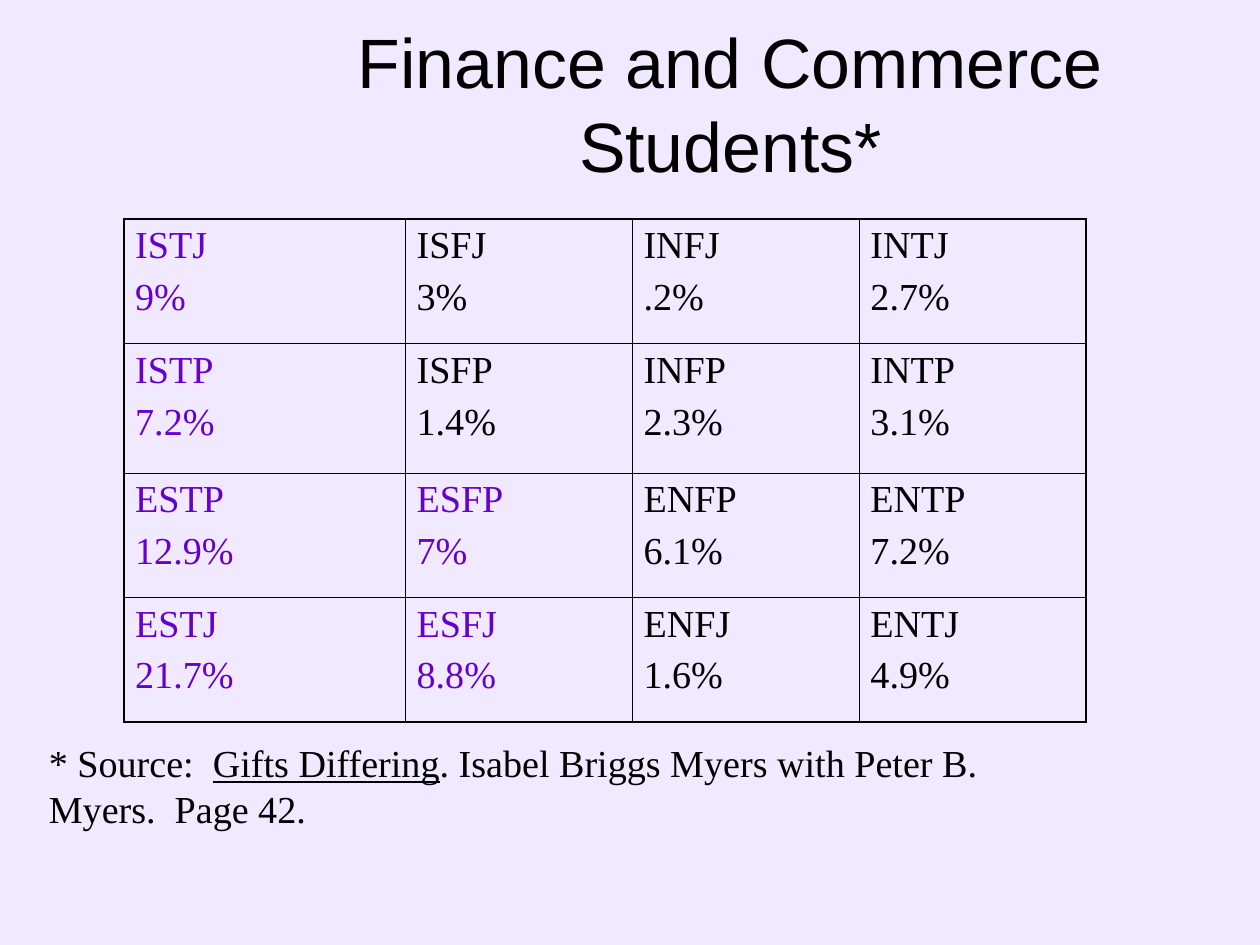
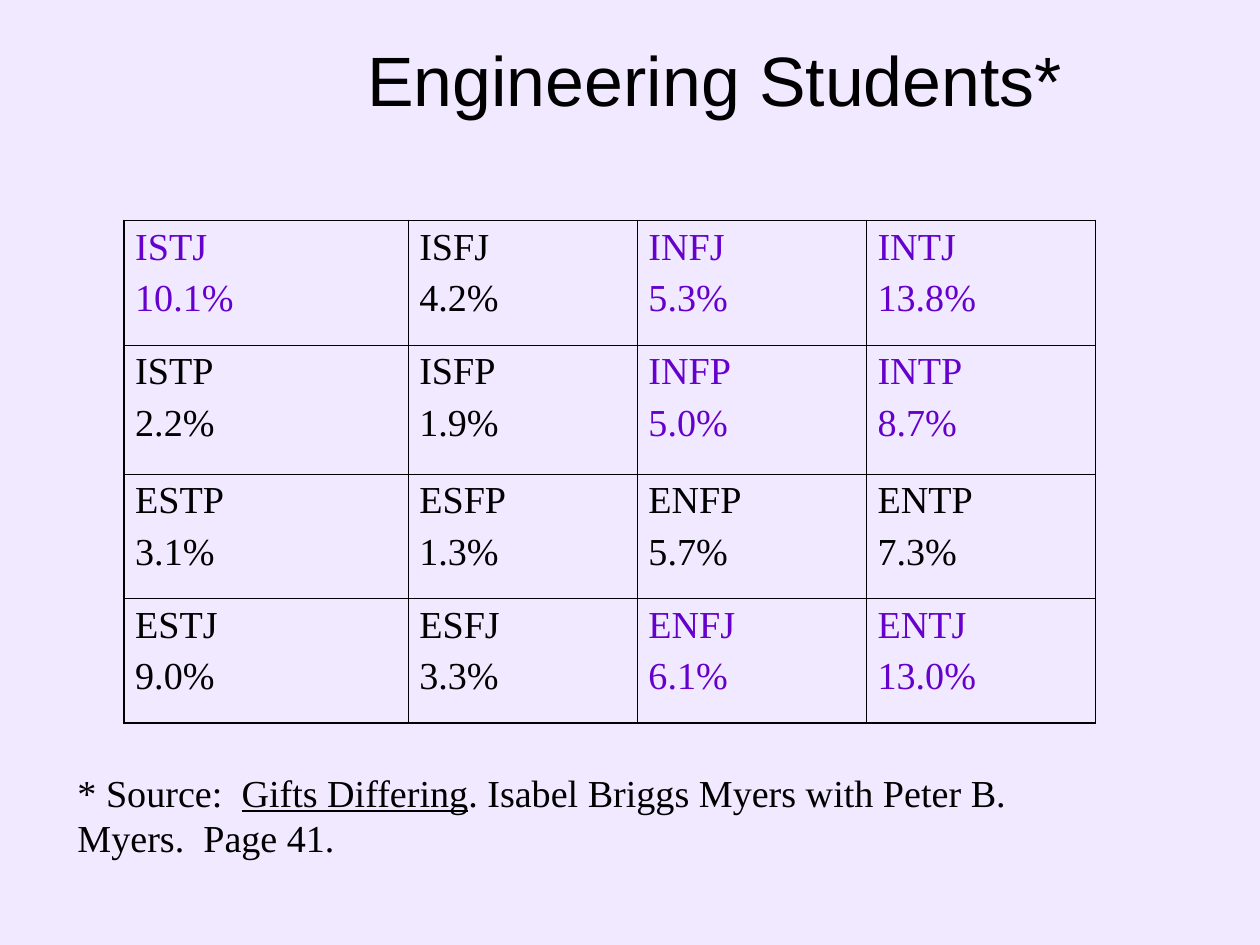
"""Build two slides that compare personality types among groups of students."""
from dataclasses import dataclass

from lxml.etree import SubElement
from pptx import Presentation
from pptx.dml.color import RGBColor
from pptx.enum.text import MSO_ANCHOR, MSO_AUTO_SIZE, PP_ALIGN
from pptx.oxml.ns import qn
from pptx.util import Cm, Emu, Inches, Pt

BLACK = RGBColor(0x00, 0x00, 0x00)
PURPLE = RGBColor(0x66, 0x00, 0xCC)
LILAC = RGBColor(0xF0, 0xE9, 0xFF)
SANS, SERIF = "Arial", "Times New Roman"
WIDTH, HEIGHT = Cm(28), Cm(21)
OUTER, INNER = Pt(1.08), Pt(0.45)
HANG = Inches(0.12)
TITLE_ONLY = 5

TYPES = (
    ("ISTJ", "ISFJ", "INFJ", "INTJ"),
    ("ISTP", "ISFP", "INFP", "INTP"),
    ("ESTP", "ESFP", "ENFP", "ENTP"),
    ("ESTJ", "ESFJ", "ENFJ", "ENTJ"),
)
COL_WEIGHTS = (2.48, 2, 2, 2)
ROW_WEIGHTS = (1.09, 1.13, 1.09, 1.09)


@dataclass(frozen=True)
class Box:
    """A frame in percent of the slide's width and height."""
    left: float
    top: float
    width: float
    height: float

    def frame(self) -> tuple[Emu, Emu, Emu, Emu]:
        """Return left, top, width and height as lengths."""
        return (Emu(round(WIDTH * self.left / 100)), Emu(round(HEIGHT * self.top / 100)),
                Emu(round(WIDTH * self.width / 100)), Emu(round(HEIGHT * self.height / 100)))


@dataclass(frozen=True)
class Group:
    """The content and frames of one slide."""
    title: str
    shares: tuple[tuple[str, ...], ...]
    marked: frozenset[str]
    page: int
    title_box: Box
    table_box: Box
    note_box: Box


GROUPS = (
    Group("Finance and Commerce Students*",
          (("9%", "3%", ".2%", "2.7%"), ("7.2%", "1.4%", "2.3%", "3.1%"),
           ("12.9%", "7%", "6.1%", "7.2%"), ("21.7%", "8.8%", "1.6%", "4.9%")),
          frozenset({"ISTJ", "ISTP", "ESTP", "ESFP", "ESTJ", "ESFJ"}), 42,
          Box(17.42, 2.54, 81.13, 16.69), Box(9.82, 23.2, 76.38, 53.2),
          Box(2.99, 77.63, 81.67, 10.88)),
    Group("Engineering Students*",
          (("10.1%", "4.2%", "5.3%", "13.8%"), ("2.2%", "1.9%", "5.0%", "8.7%"),
           ("3.1%", "1.3%", "5.7%", "7.3%"), ("9.0%", "3.3%", "6.1%", "13.0%")),
          frozenset({"INFJ", "INTJ", "INFP", "INTP", "ISTJ", "ENFJ", "ENTJ"}), 41,
          Box(19.69, 0, 74.14, 16.69), Box(9.82, 23.33, 77.11, 53.2),
          Box(5.26, 80.77, 81.67, 10.88)),
)


def add_run(p, text: str, size: int = 24, font: str = SERIF,
            color: RGBColor = BLACK, underline: bool = False) -> None:
    """Add one formatted run to a paragraph."""
    r = p.add_run()
    r.text = text
    r.font.size, r.font.name = Pt(size), font
    r.font.color.rgb = color
    r.font.underline = underline


def add_title(s, text: str, box: Box) -> None:
    """Place and fill the title placeholder."""
    sp = s.shapes.title
    sp.left, sp.top, sp.width, sp.height = box.frame()
    tf = sp.text_frame
    tf.margin_left = tf.margin_right = tf.margin_top = tf.margin_bottom = 0
    tf.vertical_anchor, tf.auto_size, tf.word_wrap = MSO_ANCHOR.MIDDLE, MSO_AUTO_SIZE.NONE, True
    p = tf.paragraphs[0]
    p.alignment = PP_ALIGN.CENTER
    add_run(p, text, 44, SANS)


def set_borders(cell, row: int, col: int) -> None:
    """Draw heavier lines on the rim of the table than inside it."""
    tc_pr = cell._tc.get_or_add_tcPr()
    rims = {"lnL": col == 0, "lnR": col == len(COL_WEIGHTS) - 1,
            "lnT": row == 0, "lnB": row == len(ROW_WEIGHTS) - 1}
    for tag, rim in rims.items():
        ln = SubElement(tc_pr, qn(f"a:{tag}"), w=str(OUTER if rim else INNER))
        fill = SubElement(ln, qn("a:solidFill"))
        SubElement(fill, qn("a:srgbClr"), val=str(BLACK))


def fill_cell(cell, lines: tuple[str, str], color: RGBColor) -> None:
    """Write a type and its share into a cell."""
    cell.fill.background()
    tf = cell.text_frame
    for i, line in enumerate(lines):
        p = tf.add_paragraph() if i else tf.paragraphs[0]
        p.space_before = Pt(6)
        p_pr = p._p.get_or_add_pPr()
        p_pr.set("marL", str(HANG))
        p_pr.set("indent", str(-HANG))
        add_run(p, line, color=color)


def add_type_table(s, group: Group) -> None:
    """Add the table of types and shares."""
    frame = group.table_box.frame()
    table = s.shapes.add_table(len(TYPES), len(TYPES[0]), *frame).table
    table.first_row = table.horz_banding = False
    for column, weight in zip(table.columns, COL_WEIGHTS):
        column.width = Emu(round(frame[2] * weight / sum(COL_WEIGHTS)))
    for row, weight in zip(table.rows, ROW_WEIGHTS):
        row.height = Emu(round(frame[3] * weight / sum(ROW_WEIGHTS)))
    for i, (types, shares) in enumerate(zip(TYPES, group.shares)):
        for j, lines in enumerate(zip(types, shares)):
            cell = table.cell(i, j)
            set_borders(cell, i, j)
            fill_cell(cell, lines, PURPLE if lines[0] in group.marked else BLACK)


def add_note(s, page: int, box: Box) -> None:
    """Add the source note below the table."""
    tf = s.shapes.add_textbox(*box.frame()).text_frame
    tf.word_wrap, tf.auto_size = True, MSO_AUTO_SIZE.SHAPE_TO_FIT_TEXT
    p = tf.paragraphs[0]
    p.space_before = Pt(15)
    add_run(p, "* Source:  ")
    add_run(p, "Gifts Differing", underline=True)
    add_run(p, f". Isabel Briggs Myers with Peter B. Myers.  Page {page}.")


def main() -> None:
    """Build and save the presentation."""
    prs = Presentation()
    prs.slide_width = WIDTH
    prs.slide_height = HEIGHT
    background = prs.slide_master.background.fill
    background.solid()
    background.fore_color.rgb = LILAC
    for group in GROUPS:
        s = prs.slides.add_slide(prs.slide_layouts[TITLE_ONLY])
        add_title(s, group.title, group.title_box)
        add_type_table(s, group)
        add_note(s, group.page, group.note_box)
    prs.save("out.pptx")


if __name__ == "__main__":
    main()
